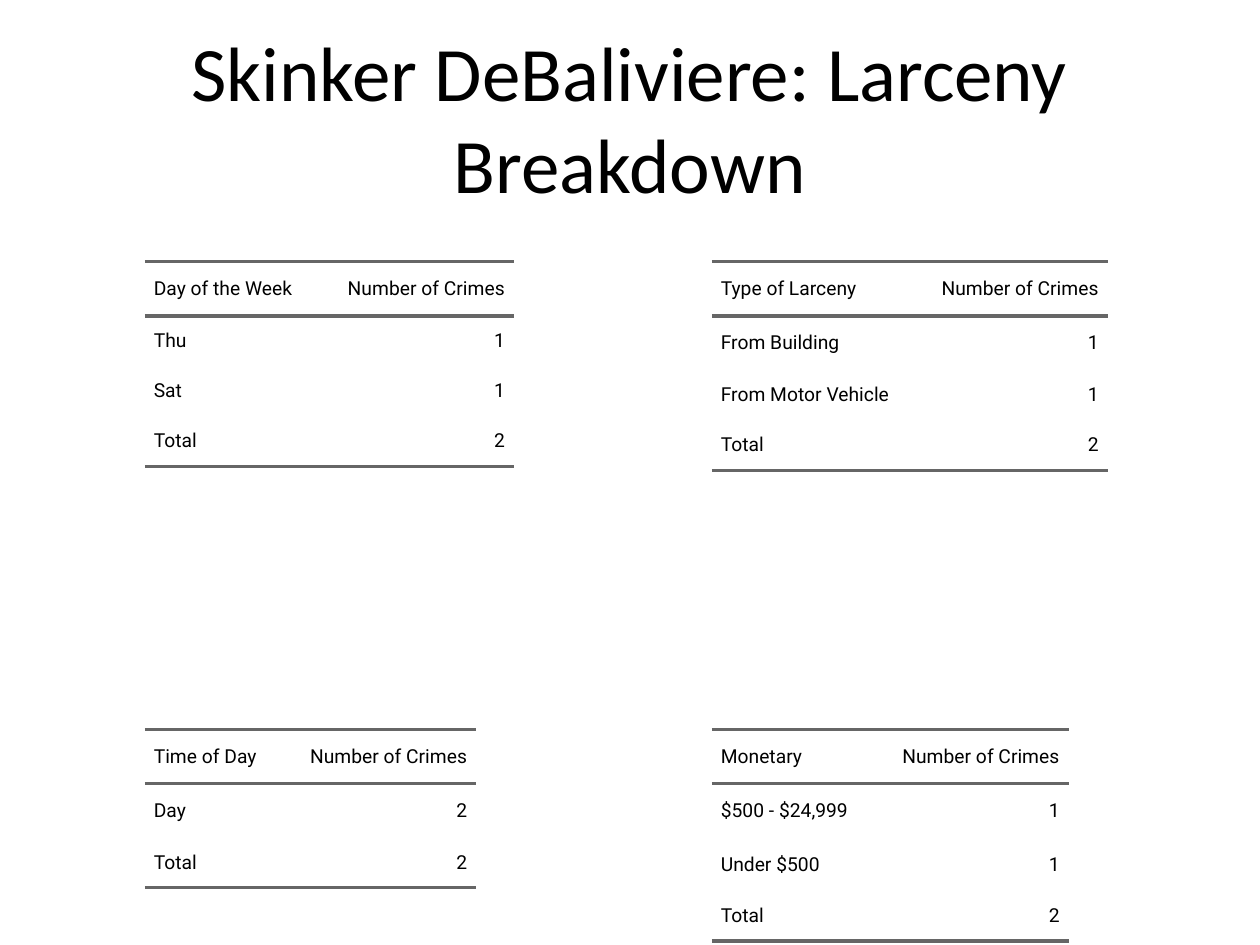
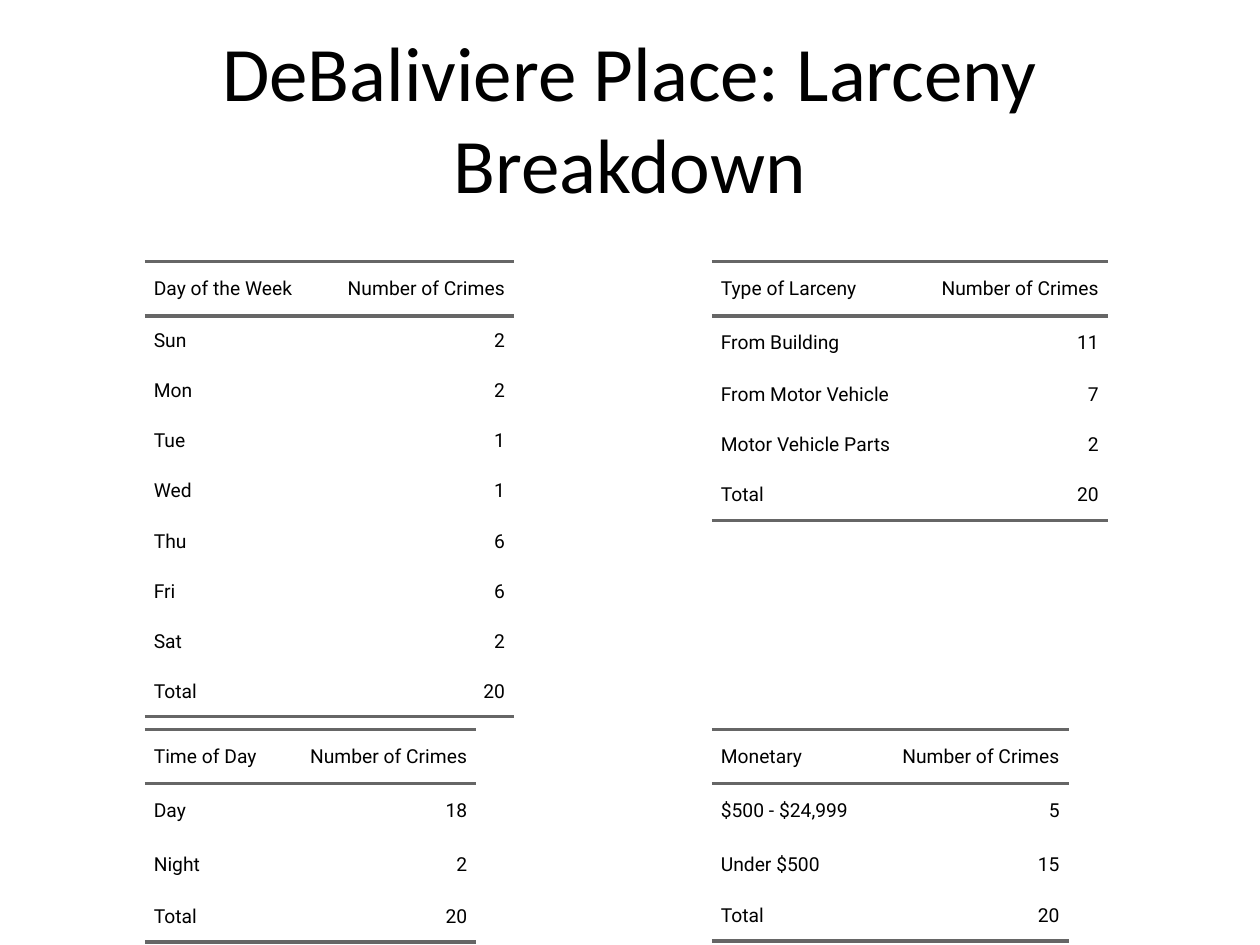
from dataclasses import dataclass

from lxml.etree import SubElement
from pptx import Presentation
from pptx.dml.color import RGBColor
from pptx.enum.text import MSO_ANCHOR as Anchor, MSO_AUTO_SIZE as AutoSize, PP_ALIGN as Align
from pptx.oxml.ns import qn
from pptx.util import Cm, Pt

BLACK = RGBColor(0x00, 0x00, 0x00)
RULE_GRAY = RGBColor(0x66, 0x66, 0x66)
TITLE_FONT = "Calibri"
TABLE_FONT = "Roboto"

TITLE_BOX = (1.27, 0.76, 22.86, 3.18)
LEFT, RIGHT = 2.92, 14.35
UPPER, LOWER = 5.28, 14.71
COUNT_WIDTH = 3.86
HEADER_HEIGHT = 1.09
ROW_HEIGHT = 1.01
CELL_INSET = 0.18


@dataclass
class Panel:
    heading: str
    left: float
    top: float
    label_width: float
    leading_heights: tuple


PANELS = (
    Panel("Day of the Week", LEFT, UPPER, 3.58, ()),
    Panel("Time of Day", LEFT, LOWER, 2.82, (1.09, 1.09)),
    Panel("Type of Larceny", RIGHT, UPPER, 4.12, (1.09,)),
    Panel("Monetary", RIGHT, LOWER, 3.33, (1.09, 1.07)),
)

NEIGHBORHOODS = {
    "Skinker DeBaliviere": (
        {"Thu": 1, "Sat": 1},
        {"Day": 2},
        {"From Building": 1, "From Motor Vehicle": 1},
        {"$500 - $24,999": 1, "Under $500": 1},
    ),
    "DeBaliviere Place": (
        {"Sun": 2, "Mon": 2, "Tue": 1, "Wed": 1, "Thu": 6, "Fri": 6, "Sat": 2},
        {"Day": 18, "Night": 2},
        {"From Building": 11, "From Motor Vehicle": 7, "Motor Vehicle Parts": 2},
        {"$500 - $24,999": 5, "Under $500": 15},
    ),
}


def write(frame, text, font_name, size, align):
    paragraph = frame.paragraphs[0]
    paragraph.text = text
    paragraph.alignment = align
    paragraph.font.name = font_name
    paragraph.font.size = Pt(size)
    paragraph.font.color.rgb = BLACK


def add_title(slide, text, box):
    frame = slide.shapes.add_textbox(*map(Cm, box)).text_frame
    frame.word_wrap = True
    frame.auto_size = AutoSize.NONE
    frame.vertical_anchor = Anchor.MIDDLE
    write(frame, text, TITLE_FONT, 44, Align.CENTER)


def set_borders(cell, ruled_sides):
    properties = cell._tc.get_or_add_tcPr()
    for side in "LRTB":
        line = SubElement(properties, qn(f"a:ln{side}"), w=str(Pt(2)))
        if side in ruled_sides:
            fill = SubElement(line, qn("a:solidFill"))
            SubElement(fill, qn("a:srgbClr"), val=str(RULE_GRAY))
        else:
            SubElement(line, qn("a:noFill"))


def fill_cell(cell, text, align, ruled_sides):
    set_borders(cell, ruled_sides)
    cell.fill.background()
    cell.margin_left = cell.margin_right = Cm(CELL_INSET)
    cell.margin_top = cell.margin_bottom = 0
    cell.vertical_anchor = Anchor.MIDDLE
    write(cell.text_frame, text, TABLE_FONT, 11, align)


def add_panel(slide, panel, counts):
    rows = [(panel.heading, "Number of Crimes"), *counts.items(),
            ("Total", sum(counts.values()))]
    leading = panel.leading_heights[:len(counts)]
    heights = [HEADER_HEIGHT, *leading]
    heights += [ROW_HEIGHT] * (len(rows) - len(heights))
    widths = (panel.label_width, COUNT_WIDTH)
    table = slide.shapes.add_table(
        len(rows), len(widths), Cm(panel.left), Cm(panel.top),
        Cm(sum(widths)), Cm(sum(heights))).table
    table.first_row = table.horz_banding = False
    for column, width in zip(table.columns, widths):
        column.width = Cm(width)
    ruled = {0: "TB", 1: "T", len(rows) - 1: "B"}
    for index, (values, height) in enumerate(zip(rows, heights)):
        table.rows[index].height = Cm(height)
        for cell, value, align in zip(table.rows[index].cells, values,
                                      (Align.LEFT, Align.RIGHT)):
            fill_cell(cell, str(value), align, ruled.get(index, ""))


def add_breakdown(deck, neighborhood, breakdown):
    slide = deck.slides.add_slide(deck.slide_layouts[6])
    add_title(slide, f"{neighborhood}: Larceny Breakdown", TITLE_BOX)
    for panel, counts in zip(PANELS, breakdown):
        add_panel(slide, panel, counts)


def main():
    deck = Presentation()
    deck.slide_width, deck.slide_height = Cm(25.4), Cm(19.05)
    for neighborhood, breakdown in NEIGHBORHOODS.items():
        add_breakdown(deck, neighborhood, breakdown)
    deck.save("out.pptx")


if __name__ == "__main__":
    main()
